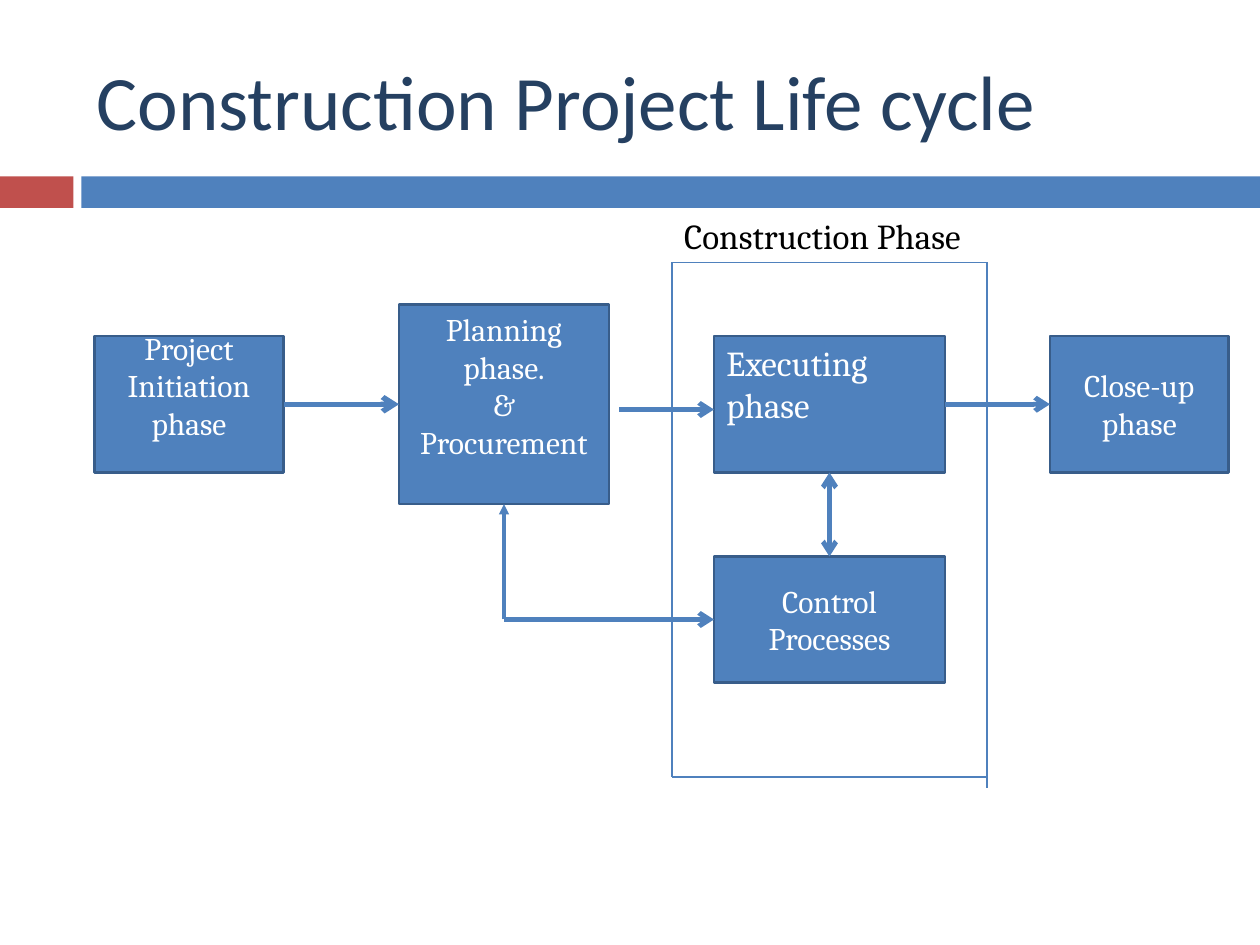
from dataclasses import dataclass

from lxml.etree import SubElement
from pptx import Presentation
from pptx.dml.color import RGBColor
from pptx.enum.shapes import MSO_CONNECTOR, MSO_SHAPE
from pptx.enum.text import MSO_ANCHOR, PP_ALIGN
from pptx.oxml.ns import qn
from pptx.util import Pt


@dataclass(frozen=True)
class Theme:
    blue: RGBColor = RGBColor(0x4F, 0x81, 0xBD)
    outline: RGBColor = RGBColor(0x38, 0x5D, 0x8A)
    red: RGBColor = RGBColor(0xC0, 0x50, 0x4D)
    navy: RGBColor = RGBColor(0x25, 0x40, 0x61)
    white: RGBColor = RGBColor(0xFF, 0xFF, 0xFF)
    black: RGBColor = RGBColor(0, 0, 0)
    heading: str = "Calibri"
    body: str = "Cambria"
    title_size: int = 44
    large_size: int = 20
    box_size: int = 18


THEME = Theme()


def set_values(target, values):
    for name, value in values.items():
        setattr(target, name, value)


def place(shape, left, top, width, height):
    set_values(shape, {"left": Pt(left), "top": Pt(top),
                       "width": Pt(width), "height": Pt(height)})


def write(frame, lines, size, color, font=THEME.body, align=PP_ALIGN.LEFT):
    for index, line in enumerate(lines):
        para = frame.paragraphs[0] if index == 0 else frame.add_paragraph()
        para.alignment = align
        span = para.add_run()
        span.text = line
        set_values(span.font, {"name": font, "size": Pt(size)})
        span.font.color.rgb = color


def add_title(page, text):
    title = page.shapes.title
    place(title, 48, 18, 642, 78)
    title.text_frame.vertical_anchor = MSO_ANCHOR.MIDDLE
    write(title.text_frame, [text], THEME.title_size, THEME.navy, THEME.heading)


def add_rectangle(page, bounds, fill, outline=None):
    box = page.shapes.add_shape(MSO_SHAPE.RECTANGLE, *map(Pt, bounds))
    box.shadow.inherit = False
    box.fill.solid()
    box.fill.fore_color.rgb = fill
    if outline is None:
        box.line.fill.background()
    else:
        box.line.color.rgb = outline
        box.line.width = Pt(1.5)
    return box


def add_phase(page, bounds, lines, size=THEME.box_size, align=PP_ALIGN.CENTER, lift=0):
    """Add a phase box; lift is the space kept free under its text."""
    box = add_rectangle(page, bounds, THEME.blue, THEME.outline)
    set_values(box.text_frame, {
        "word_wrap": True, "vertical_anchor": MSO_ANCHOR.MIDDLE,
        "margin_left": Pt(7.2), "margin_right": Pt(7.2),
        "margin_top": Pt(3.6), "margin_bottom": Pt(3.6 + lift)})
    write(box.text_frame, lines, size, THEME.white, align=align)


def add_label(page, bounds, text):
    label = page.shapes.add_textbox(*map(Pt, bounds))
    set_values(label.text_frame, {
        "word_wrap": True, "margin_left": 0, "margin_right": 0,
        "margin_top": 0, "margin_bottom": 0})
    write(label.text_frame, [text], THEME.large_size, THEME.black)


def add_line(page, start, end, width, head=None, tail=None):
    line = page.shapes.add_connector(
        MSO_CONNECTOR.STRAIGHT, *map(Pt, (*start, *end)))
    line.line.color.rgb = THEME.blue
    line.line.width = Pt(width)
    outline = line.line._get_or_add_ln()
    for tag, kind in (("a:headEnd", head), ("a:tailEnd", tail)):
        if kind:
            SubElement(outline, qn(tag)).set("type", kind)
    SubElement(line._element.spPr, qn("a:effectLst"))


def main():
    deck = Presentation()
    set_values(deck, {"slide_width": Pt(720), "slide_height": Pt(540)})
    page = deck.slides.add_slide(deck.slide_layouts[5])

    # Title and band
    add_title(page, "Construction Project Life cycle")
    add_rectangle(page, (0, 100.8, 42, 18), THEME.red)
    add_rectangle(page, (46.5, 100.8, 673.5, 18), THEME.blue)
    add_label(page, (391, 122.5, 180, 24), "Construction Phase")

    # Phases
    add_phase(page, (54, 192, 108, 78), ["Project Initiation phase"], lift=21.5)
    add_phase(page, (228, 174, 120, 114),
              ["Planning phase.", "& Procurement"], lift=21.5)
    add_phase(page, (408, 192, 132, 78), ["Executing phase"],
              THEME.large_size, PP_ALIGN.LEFT, lift=24)
    add_phase(page, (408, 318, 132, 72), ["Control Processes"])
    add_phase(page, (600, 192, 102, 78), ["Close-up phase"])

    # Frame around the construction phase; its right side runs past the corner
    left, right, top, bottom = 384, 564, 150, 444
    for start, end in (((left, top), (right, top)),
                       ((right, top), (right, bottom + 6)),
                       ((left, top), (left, bottom)),
                       ((left, bottom), (right, bottom))):
        add_line(page, start, end, 0.79)

    # Flow between phases
    add_line(page, (162, 231), (228, 231), 3, tail="arrow")
    for start, end in (((354, 234), (408, 234)),
                       ((540, 231), (600, 231)),
                       ((288, 354), (408, 354))):
        add_line(page, start, end, 2.75, tail="arrow")
    add_line(page, (474, 270), (474, 318), 2.75, head="arrow", tail="arrow")
    add_line(page, (288, 354), (288, 288), 1.75, tail="triangle")

    deck.save("out.pptx")


if __name__ == "__main__":
    main()
